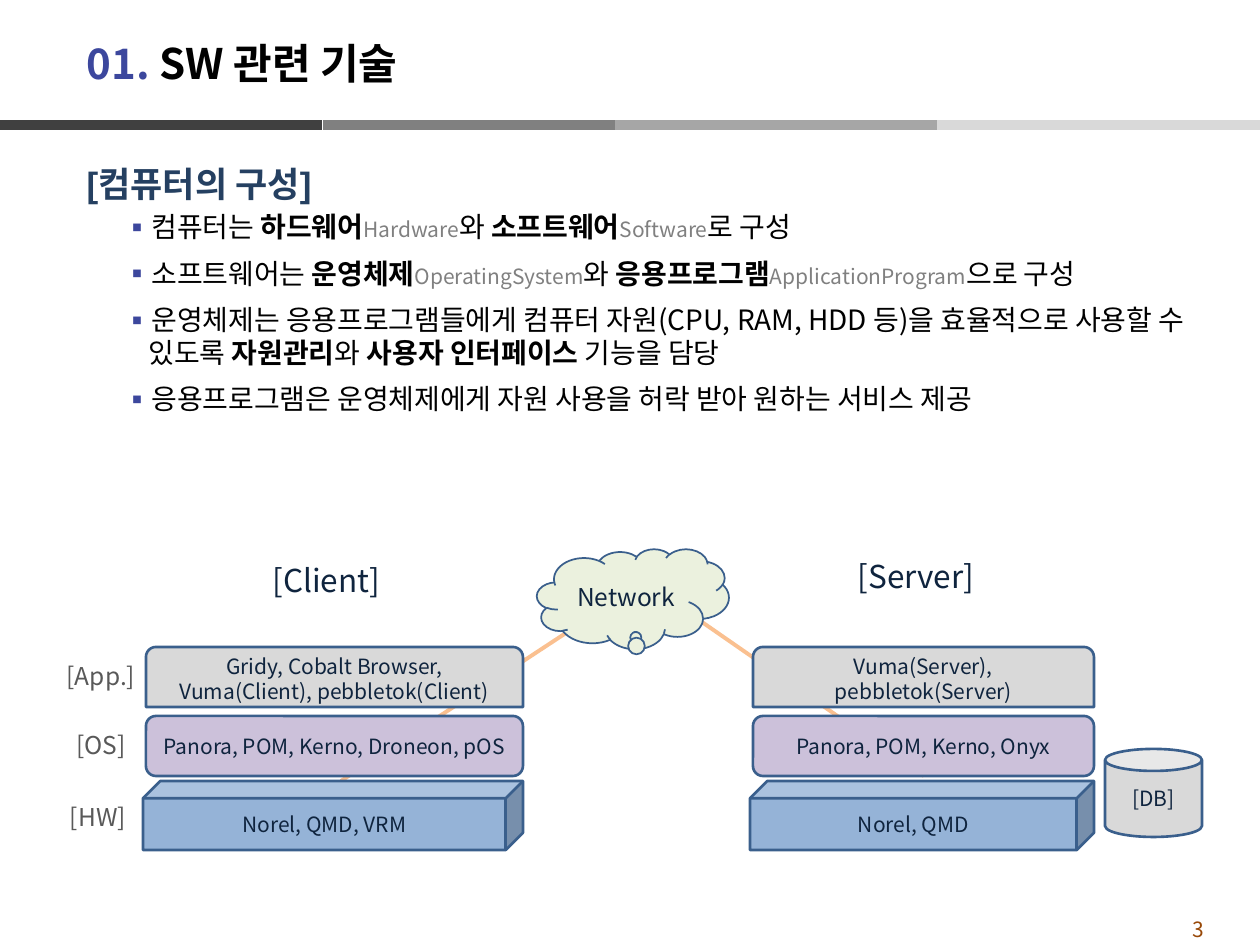
from dataclasses import dataclass
from typing import NamedTuple, Optional

from lxml import etree
from pptx import Presentation
from pptx import util as u
from pptx.dml.color import RGBColor
from pptx.enum import shapes, text
from pptx.oxml.ns import qn

PX = u.Inches(1) / 126
FONT = "Noto Sans CJK KR"

BLACK = RGBColor(0, 0, 0)
INDIGO = RGBColor(0x3C, 0x47, 0x9D)
NAVY = RGBColor(0x0F, 0x24, 0x3E)
HEADING = RGBColor(0x25, 0x40, 0x61)
OUTLINE = RGBColor(0x3A, 0x5F, 0x8C)
GRAY = RGBColor(0x80, 0x80, 0x80)
LABEL = RGBColor(0x59, 0x59, 0x59)
SILVER = RGBColor(0xD9, 0xD9, 0xD9)
LILAC = RGBColor(0xCC, 0xC1, 0xDA)
BLUE = RGBColor(0x95, 0xB3, 0xD7)
GREEN = RGBColor(0xEB, 0xF1, 0xDE)
ORANGE = RGBColor(0xFA, 0xC0, 0x90)
BROWN = RGBColor(0x98, 0x48, 0x07)
BAR_DARK = RGBColor(0x40, 0x40, 0x40)
BAR_LIGHT = RGBColor(0xA6, 0xA6, 0xA6)

KIND = shapes.MSO_SHAPE
CENTER = text.PP_ALIGN.CENTER
LEFT = text.PP_ALIGN.LEFT
TOP = text.MSO_ANCHOR.TOP
MIDDLE = text.MSO_ANCHOR.MIDDLE


class Box(NamedTuple):
    left: int
    top: int
    width: int
    height: int


class Run(NamedTuple):
    words: str
    size: int = 16
    color: RGBColor = BLACK
    bold: bool = False
    font: str = FONT


@dataclass
class Node:
    kind: shapes.MSO_SHAPE
    box: Box
    fill: RGBColor
    lines: tuple
    size: int = 12
    weight: float = 1.5
    adjust: tuple = ()


@dataclass
class Label:
    box: Box
    words: str
    size: int
    color: RGBColor


@dataclass
class Link:
    start: tuple
    end: tuple
    color: RGBColor
    weight: float


def strong(words: str) -> Run:
    return Run(words, bold=True)


def small(words: str) -> Run:
    return Run(words, 12, GRAY)


def emu(px: float) -> int:
    return round(px * PX)


def apply(target, values: dict) -> None:
    for name, value in values.items():
        setattr(target, name, value)


def place(sp, box: Box) -> None:
    apply(sp, {name: emu(px) for name, px in box._asdict().items()})


def add_run(p, run: Run) -> None:
    r = p.add_run()
    r.text = run.words
    apply(r.font, {"size": u.Pt(run.size), "bold": run.bold, "name": run.font})
    r.font.color.rgb = run.color
    r.font._element.find(qn("a:latin")).addnext(
        etree.Element(qn("a:ea"), typeface=FONT))


def set_lines(tf, lines: list, align=LEFT, anchor=MIDDLE, wrap=True) -> list:
    """Fill a frame with one paragraph for each list of runs."""
    apply(tf, {"word_wrap": wrap, "vertical_anchor": anchor,
               "auto_size": text.MSO_AUTO_SIZE.NONE})
    paragraphs = []
    for i, runs in enumerate(lines):
        p = tf.add_paragraph() if i else tf.paragraphs[0]
        p.alignment = align
        for run in runs:
            add_run(p, run)
        paragraphs.append(p)
    return paragraphs


def set_bullet(p, mark: Optional[str], color: RGBColor = INDIGO) -> None:
    ppr = p._p.get_or_add_pPr()
    indent = emu(25) if mark else 0
    ppr.set("marL", str(emu(62) if mark else 0))
    ppr.set("indent", str(-indent))
    if not mark:
        etree.SubElement(ppr, qn("a:buNone"))
        return
    clr = etree.SubElement(ppr, qn("a:buClr"))
    etree.SubElement(clr, qn("a:srgbClr"), val=str(color))
    etree.SubElement(ppr, qn("a:buFont"), typeface=FONT)
    etree.SubElement(ppr, qn("a:buChar"), char=mark)


def draw_link(s, link: Link) -> None:
    cx = s.shapes.add_connector(shapes.MSO_CONNECTOR.STRAIGHT,
                                *map(emu, link.start + link.end))
    cx.line.color.rgb = link.color
    cx.line.width = u.Pt(link.weight)
    etree.SubElement(cx._element.spPr, qn("a:effectLst"))


def draw_node(s, node: Node) -> None:
    sp = s.shapes.add_shape(node.kind, *map(emu, node.box))
    sp.shadow.inherit = False
    sp.fill.solid()
    sp.fill.fore_color.rgb = node.fill
    sp.line.color.rgb = OUTLINE
    sp.line.width = u.Pt(node.weight)
    for i, value in enumerate(node.adjust):
        sp.adjustments[i] = value
    set_lines(sp.text_frame, [[Run(line, node.size, NAVY)] for line in node.lines], CENTER)


def draw_label(s, label: Label) -> None:
    tb = s.shapes.add_textbox(*map(emu, label.box))
    set_lines(tb.text_frame, [[Run(label.words, label.size, label.color)]],
              CENTER, TOP, wrap=False)


def draw_stack(s, left: int, width: int, app: tuple, system: str, hardware: str) -> None:
    """Draw the application, OS and hardware layers of one computer."""
    for node in (
        Node(KIND.CUBE, Box(left - 3, 781, width + 3, 69), BLUE, (hardware,)),
        Node(KIND.ROUNDED_RECTANGLE, Box(left, 716, width, 60), LILAC, (system,)),
        Node(KIND.ROUND_2_SAME_RECTANGLE, Box(left, 647, width, 60), SILVER, app),
    ):
        draw_node(s, node)


BULLETS = [
    [Run("컴퓨터는 "), strong("하드웨어"), small("Hardware"), Run("와 "),
     strong("소프트웨어"), small("Software"), Run("로 구성")],
    [Run("소프트웨어는 "), strong("운영체제"), small("OperatingSystem"), Run("와 "),
     strong("응용프로그램"), small("ApplicationProgram"), Run("으로 구성")],
    [Run("운영체제는 응용프로그램들에게 컴퓨터 자원(CPU, RAM, HDD 등)을 "
         "효율적으로 사용할 수 있도록 "),
     strong("자원관리"), Run("와 "), strong("사용자 인터페이스 "), Run("기능을 담당")],
    [Run("응용프로그램은 운영체제에게 자원 사용을 허락 받아 원하는 서비스 제공")],
]
BARS = [(323, 615, GRAY), (615, 937, BAR_LIGHT), (937, 1260, SILVER), (0, 322, BAR_DARK)]
LINKS = [Link((924, 776), (663, 595), ORANGE, 2.25),
         Link((341, 781), (607, 606), ORANGE, 2.25)]
LABELS = [
    Label(Box(843, 551, 146, 50), "[Server]", 18, NAVY),
    Label(Box(257, 555, 139, 50), "[Client]", 18, NAVY),
    Label(Box(51, 655, 100, 43), "[App.]", 14, LABEL),
    Label(Box(51, 724, 100, 43), "[OS]", 14, LABEL),
    Label(Box(48, 796, 100, 43), "[HW]", 14, LABEL),
    Label(Box(1140, 910, 116, 29), "3", 12, BROWN),
]


def main() -> None:
    prs = Presentation()
    apply(prs, {"slide_width": u.Inches(10), "slide_height": u.Inches(7.5)})
    s = prs.slides.add_slide(prs.slide_layouts[1])
    title, body = s.placeholders

    place(title, Box(74, 25, 1101, 76))
    set_lines(title.text_frame, [[Run("01. ", 24, INDIGO, True),
                                  Run("SW 관련 기술", 24, BLACK, True)]])

    place(body, Box(74, 135, 1181, 287))
    heading = [Run("[컴퓨터의 구성]", 20, HEADING, True, "Arial")]
    first, *rest = set_lines(body.text_frame, [heading] + BULLETS, anchor=TOP)
    apply(first, {"line_spacing": 1.5, "space_before": u.Pt(0)})
    set_bullet(first, None)
    for p in rest:
        apply(p, {"level": 1, "space_before": u.Pt(3.2), "space_after": u.Pt(4)})
        set_bullet(p, "▪")

    for start, end, color in BARS:
        draw_link(s, Link((start, 125), (end, 125), color, 6))
    for link in LINKS:
        draw_link(s, link)
    draw_stack(s, 753, 341, ("Vuma(Server),", "pebbletok(Server)"),
               "Panora, POM, Kerno, Onyx", "Norel, QMD")
    draw_stack(s, 146, 377, ("Gridy, Cobalt Browser,", "Vuma(Client), pebbletok(Client)"),
               "Panora, POM, Kerno, Droneon, pOS", "Norel, QMD, VRM")
    draw_node(s, Node(KIND.CAN, Box(1105, 749, 97, 88), SILVER, ("[DB]",)))
    draw_node(s, Node(KIND.CLOUD_CALLOUT, Box(537, 549, 192, 100), GREEN, ("Network",),
                      14, 1, (0.014, 0.357)))
    for label in LABELS:
        draw_label(s, label)
    prs.save("out.pptx")


if __name__ == "__main__":
    main()
